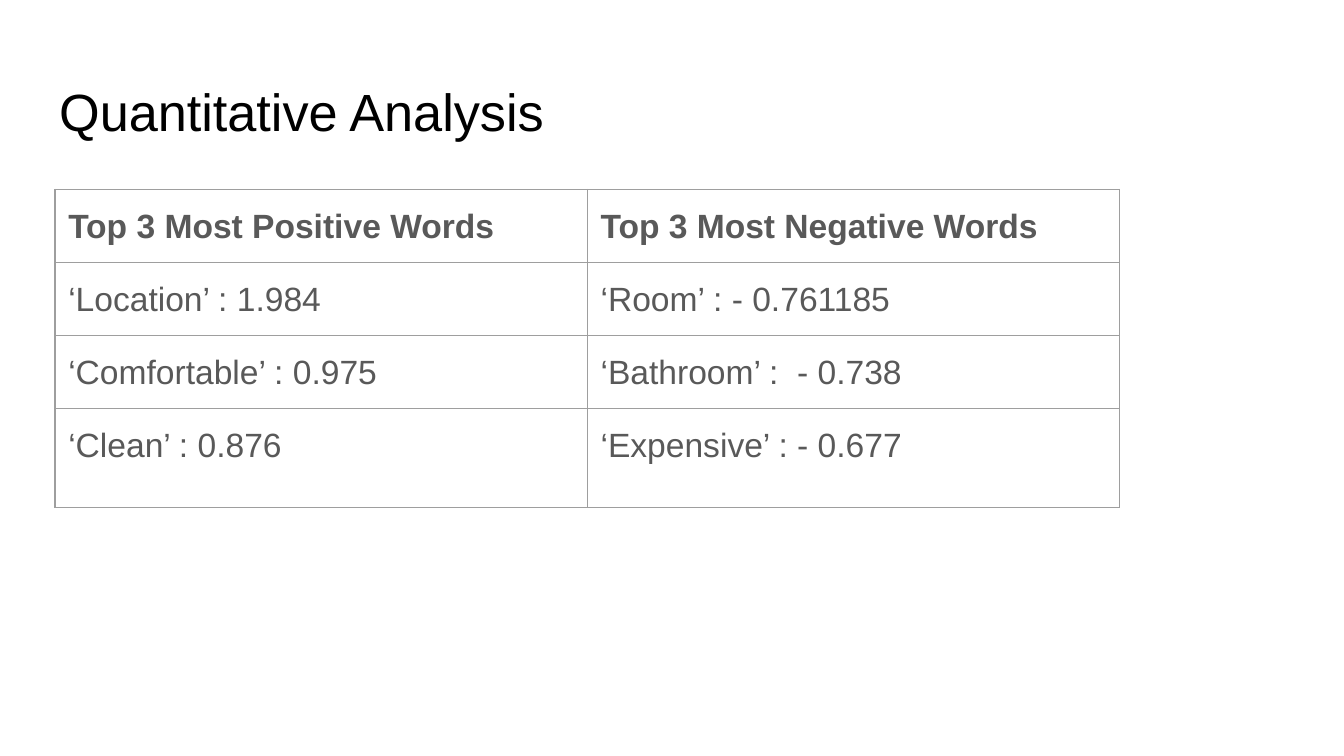
import pptx
import pptx.dml.color
import pptx.enum.text
import pptx.oxml
import pptx.oxml.ns
import pptx.util
from pptx.util import Cm

BLACK = pptx.dml.color.RGBColor(0x00, 0x00, 0x00)
DARK_GRAY = pptx.dml.color.RGBColor(0x59, 0x59, 0x59)
BORDER_GRAY = pptx.dml.color.RGBColor(0x9E, 0x9E, 0x9E)
BORDER_WIDTH = pptx.util.Pt(0.75)
PADDING = Cm(0.25)
MARGINS = {
    f"margin_{side}": PADDING for side in ("left", "top", "right", "bottom")
}


def set_attributes(target, values):
    for attribute, value in values.items():
        setattr(target, attribute, value)


def write_text(frame, text, size, color, bold=False):
    run = frame.paragraphs[0].add_run()
    run.text = text
    set_attributes(
        run.font, {"name": "Arial", "size": pptx.util.Pt(size), "bold": bold}
    )
    run.font.color.rgb = color


presentation = pptx.Presentation()
set_attributes(
    presentation, {"slide_width": Cm(25.4), "slide_height": Cm(14.28)}
)
slide = presentation.slides.add_slide(presentation.slide_layouts[6])

heading = slide.shapes.add_textbox(Cm(0.87), Cm(1.24), Cm(23.67), Cm(1.6))
set_attributes(
    heading.text_frame,
    {
        **MARGINS,
        "word_wrap": True,
        "vertical_anchor": pptx.enum.text.MSO_ANCHOR.TOP,
    },
)
write_text(heading.text_frame, "Quantitative Analysis", 28, BLACK)

word_scores = [
    ("Top 3 Most Positive Words", "Top 3 Most Negative Words"),
    ("‘Location’ : 1.984", "‘Room’ : - 0.761185"),
    ("‘Comfortable’ : 0.975", "‘Bathroom’ :  - 0.738"),
    ("‘Clean’ : 0.876", "‘Expensive’ : - 0.677"),
]
row_heights = [Cm(1.32)] * 3 + [Cm(1.87)]
column_width = Cm(10.06)
scores = slide.shapes.add_table(
    len(word_scores), 2, Cm(1.04), Cm(3.58), column_width * 2, sum(row_heights)
).table
set_attributes(scores, {"first_row": False, "horz_banding": False})
for column in scores.columns:
    column.width = column_width

for row_index, words in enumerate(word_scores):
    scores.rows[row_index].height = row_heights[row_index]
    for column_index, word in enumerate(words):
        cell = scores.cell(row_index, column_index)
        set_attributes(
            cell,
            {**MARGINS, "vertical_anchor": pptx.enum.text.MSO_ANCHOR.TOP},
        )
        write_text(cell.text_frame, word, 18, DARK_GRAY, row_index == 0)
        set_attributes(
            cell.text_frame.paragraphs[0],
            {"line_spacing": 1.15, "space_after": pptx.util.Pt(16)},
        )
        properties = cell._tc.get_or_add_tcPr()
        for edge in ("lnL", "lnR", "lnT", "lnB"):
            properties.append(
                pptx.oxml.parse_xml(
                    f'<a:{edge} {pptx.oxml.ns.nsdecls("a")} w="{BORDER_WIDTH}">'
                    f'<a:solidFill><a:srgbClr val="{BORDER_GRAY}"/></a:solidFill>'
                    f"</a:{edge}>"
                )
            )
        cell.fill.background()

scores.cell(3, 1).text_frame.paragraphs[0].space_after = pptx.util.Pt(0)

presentation.save("out.pptx")
